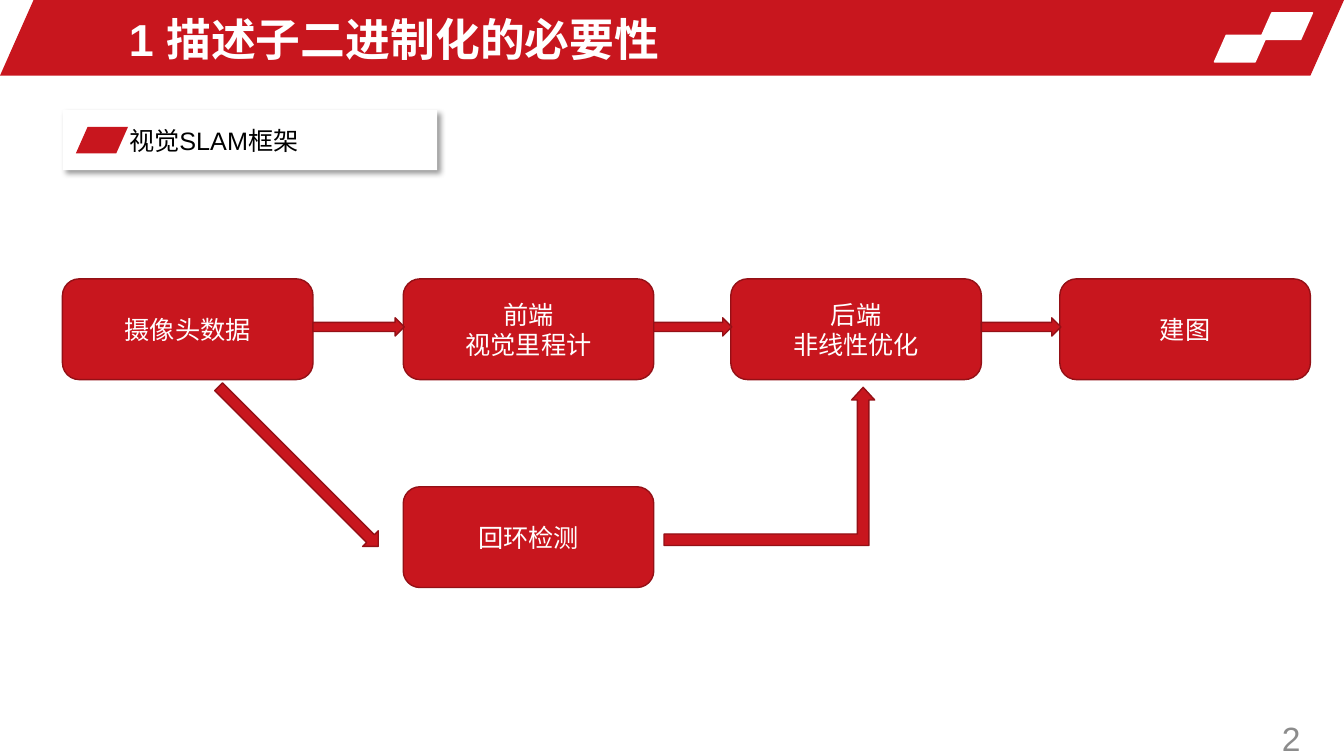
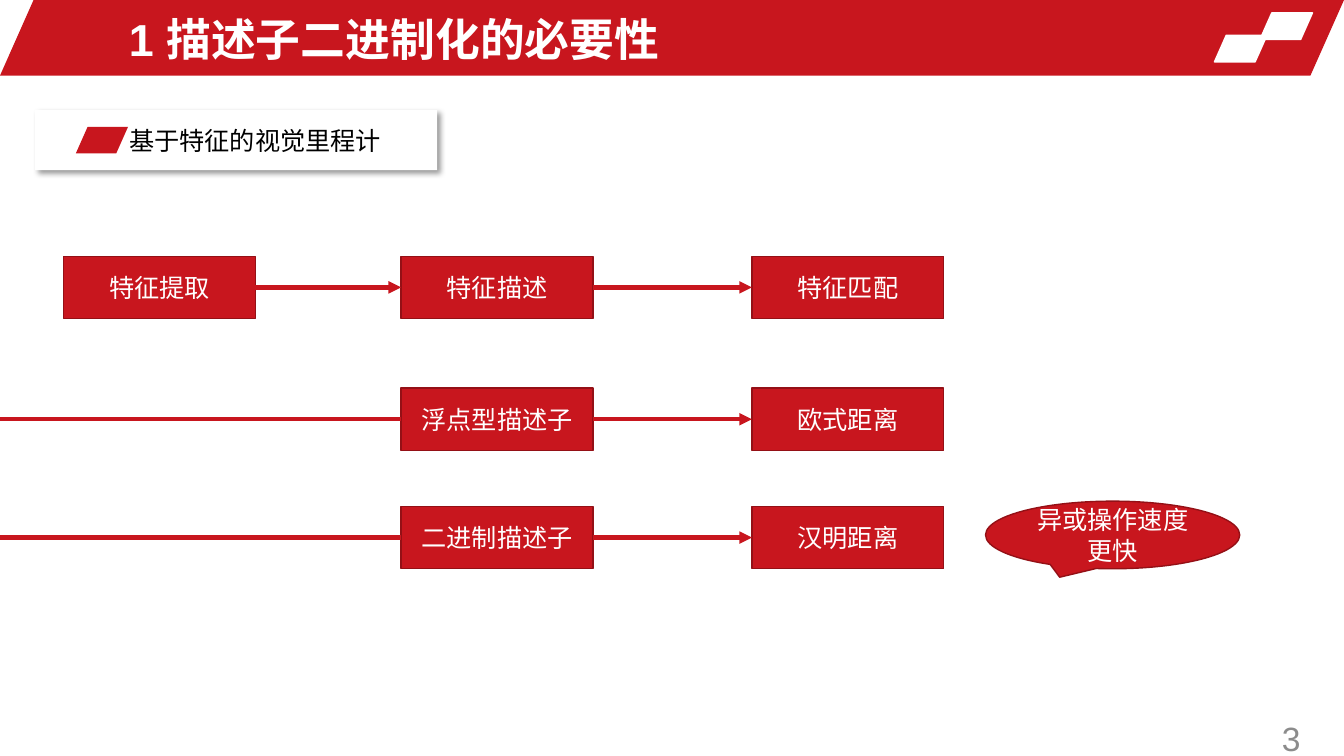
from lxml.etree import SubElement
from pptx import Presentation
from pptx.dml.color import RGBColor
from pptx.enum.shapes import MSO_CONNECTOR, MSO_SHAPE
from pptx.enum.text import MSO_ANCHOR, PP_ALIGN
from pptx.oxml import parse_xml
from pptx.oxml.ns import nsdecls, qn
from pptx.util import Pt

COLORS = {
    "red": "C8161E",
    "outline": "941016",
    "white": "FFFFFF",
    "black": "000000",
    "gray": "8C8C8C",
}
FONT = "Arial"
TITLE = "1 描述子二进制化的必要性"
SLANT = 0.444


class Deck:
    def __init__(self):
        self.presentation = Presentation()
        self.presentation.slide_width = Pt(960)
        self.presentation.slide_height = Pt(540)
        self.slide = None

    def color(self, name):
        return RGBColor.from_string(COLORS[name])

    def new_slide(self, heading, number, label_left):
        self.slide = self.presentation.slides.add_slide(self.presentation.slide_layouts[6])
        self.slanted(0, 0, 960, 54, "red")
        for left, top in ((900, 9.2), (867.5, 25.2)):
            self.slanted(left, top, 37.5, 19, "white", "white")
        self.text_box(85, 4, 557, 47, TITLE, 32, "white", bold=True)
        self.label(label_left, heading)
        self.text_box(854.5, 513.5, 81.5, 27, str(number), 24, "gray", PP_ALIGN.RIGHT)

    def set_text(self, shape, text, size, color, align, bold=False):
        frame = shape.text_frame
        frame.word_wrap = True
        frame.vertical_anchor = MSO_ANCHOR.MIDDLE
        frame.text = text
        for paragraph in frame.paragraphs:
            paragraph.alignment = align
            for run in paragraph.runs:
                run.font.name = FONT
                run.font.size = Pt(size)
                run.font.bold = bold
                run.font.color.rgb = self.color(color)

    def text_box(self, left, top, width, height, text, size, color,
                 align=PP_ALIGN.LEFT, bold=False):
        box = self.slide.shapes.add_textbox(Pt(left), Pt(top), Pt(width), Pt(height))
        self.set_text(box, text, size, color, align, bold)

    def shape(self, kind, left, top, width, height, fill="red", line="outline",
              text=None, adjustments=()):
        shape = self.slide.shapes.add_shape(kind, Pt(left), Pt(top), Pt(width), Pt(height))
        shape.shadow.inherit = False
        shape.fill.solid()
        shape.fill.fore_color.rgb = self.color(fill)
        if line:
            shape.line.color.rgb = self.color(line)
            shape.line.width = Pt(1)
        else:
            shape.line.fill.background()
        for index, value in enumerate(adjustments):
            shape.adjustments[index] = value
        if text:
            self.set_text(shape, text, 18, "white", PP_ALIGN.CENTER)
        return shape

    def slanted(self, left, top, width, height, fill, line=None):
        self.shape(MSO_SHAPE.PARALLELOGRAM, left, top, width, height, fill, line,
                   adjustments=[SLANT])

    def label(self, left, text):
        card = self.shape(MSO_SHAPE.RECTANGLE, left, 78.6, 312.3 - left, 43, "white", None)
        self.set_text(card, text, 18, "black", PP_ALIGN.LEFT)
        card.text_frame.margin_left = Pt(92.2 - left)
        effects = card.element.spPr.find(qn("a:effectLst"))
        effects.append(parse_xml(
            f'<a:outerShdw {nsdecls("a")} blurRad="{Pt(4)}" dist="{Pt(3)}" dir="2700000" '
            f'algn="tl" rotWithShape="0"><a:srgbClr val="{COLORS["black"]}">'
            '<a:alpha val="40000"/></a:srgbClr></a:outerShdw>'))
        self.slanted(54.2, 90.6, 37.3, 19, "red")

    def line(self, start, end, y, arrow=True):
        connector = self.slide.shapes.add_connector(
            MSO_CONNECTOR.STRAIGHT, Pt(start), Pt(y), Pt(end), Pt(y))
        connector.line.color.rgb = self.color("red")
        connector.line.width = Pt(3)
        properties = connector.element.spPr
        if arrow:
            SubElement(properties.find(qn("a:ln")), qn("a:tailEnd"), type="triangle")
        SubElement(properties, qn("a:effectLst"))


def framework_slide(deck):
    deck.new_slide("视觉SLAM框架", 2, 45)
    width, height, top = 179, 72, 199.2
    stages = [
        (44.6, "摄像头数据"),
        (288, "前端\n视觉里程计"),
        (522, "后端\n非线性优化"),
        (757, "建图"),
    ]
    for left, text in stages:
        deck.shape(MSO_SHAPE.ROUNDED_RECTANGLE, left, top, width, height, text=text)
    deck.shape(MSO_SHAPE.ROUNDED_RECTANGLE, 288, 347.7, width, height, text="回环检测")
    for (left, _), (following, _) in zip(stages, stages[1:]):
        start = left + width
        deck.shape(MSO_SHAPE.RIGHT_ARROW, start, 227, following + 0.8 - start, 13)
    to_loop = deck.shape(MSO_SHAPE.RIGHT_ARROW, 132.5, 325.4, 161.3, 15.8)
    to_loop.rotation = 45
    deck.shape(MSO_SHAPE.BENT_UP_ARROW, 474.3, 276.7, 150.5, 113,
               adjustments=[0.073, 0.073, 0.08])


def odometry_slide(deck):
    deck.new_slide("基于特征的视觉里程计", 3, 25)
    width, height = 137, 44.6
    columns = (45.4, 286.5, 537.1)
    rows = [
        (183, ("特征提取", "特征描述", "特征匹配")),
        (277.2, ("浮点型描述子", "欧式距离")),
        (361.7, ("二进制描述子", "汉明距离")),
    ]
    for top, steps in rows:
        lefts = columns[-len(steps):]
        middle = top + height / 2
        for left, step in zip(lefts, steps):
            deck.shape(MSO_SHAPE.RECTANGLE, left, top, width, height, text=step)
        for left, following in zip(lefts, lefts[1:]):
            deck.line(left + width, following, middle)
        if len(steps) < len(columns):
            deck.line(0, lefts[0], middle, arrow=False)
    deck.shape(MSO_SHAPE.OVAL_CALLOUT, 704, 358, 181.6, 48.3, text="异或操作速度更快")


def main():
    deck = Deck()
    framework_slide(deck)
    odometry_slide(deck)
    deck.presentation.save("out.pptx")


if __name__ == "__main__":
    main()
